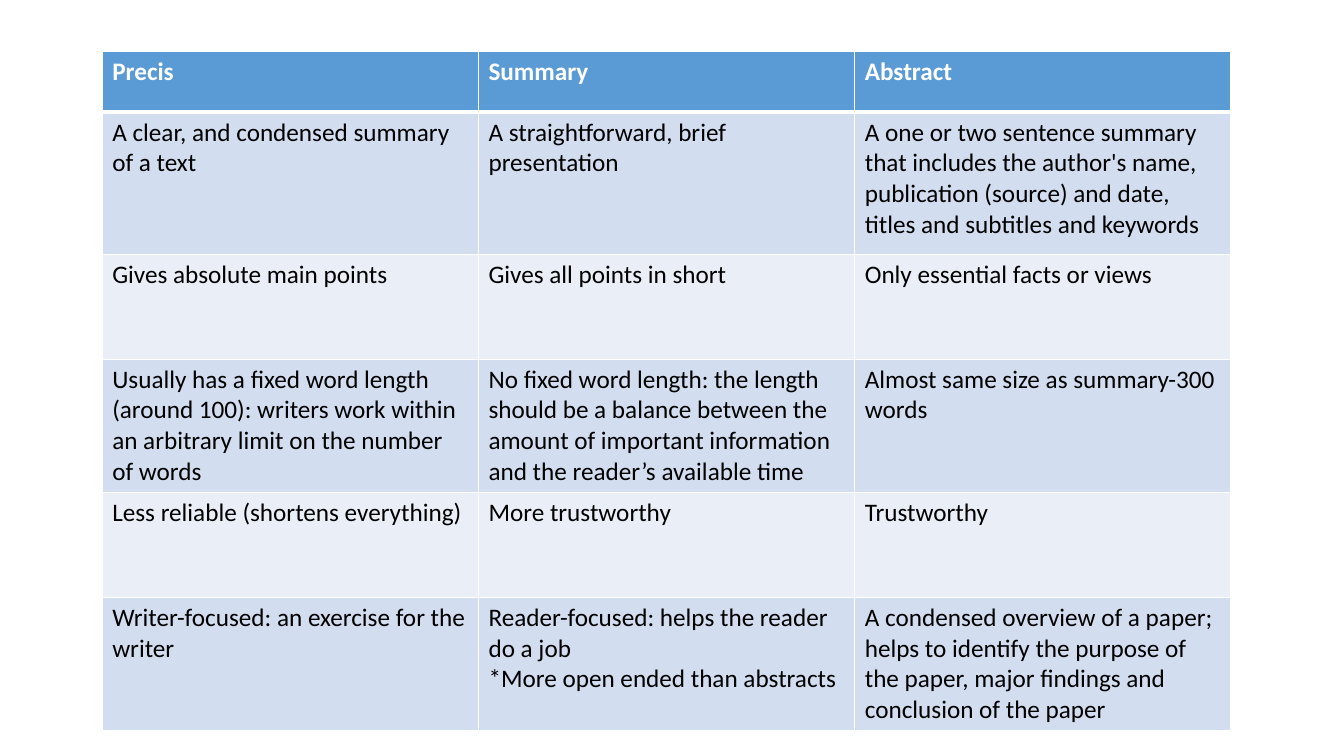
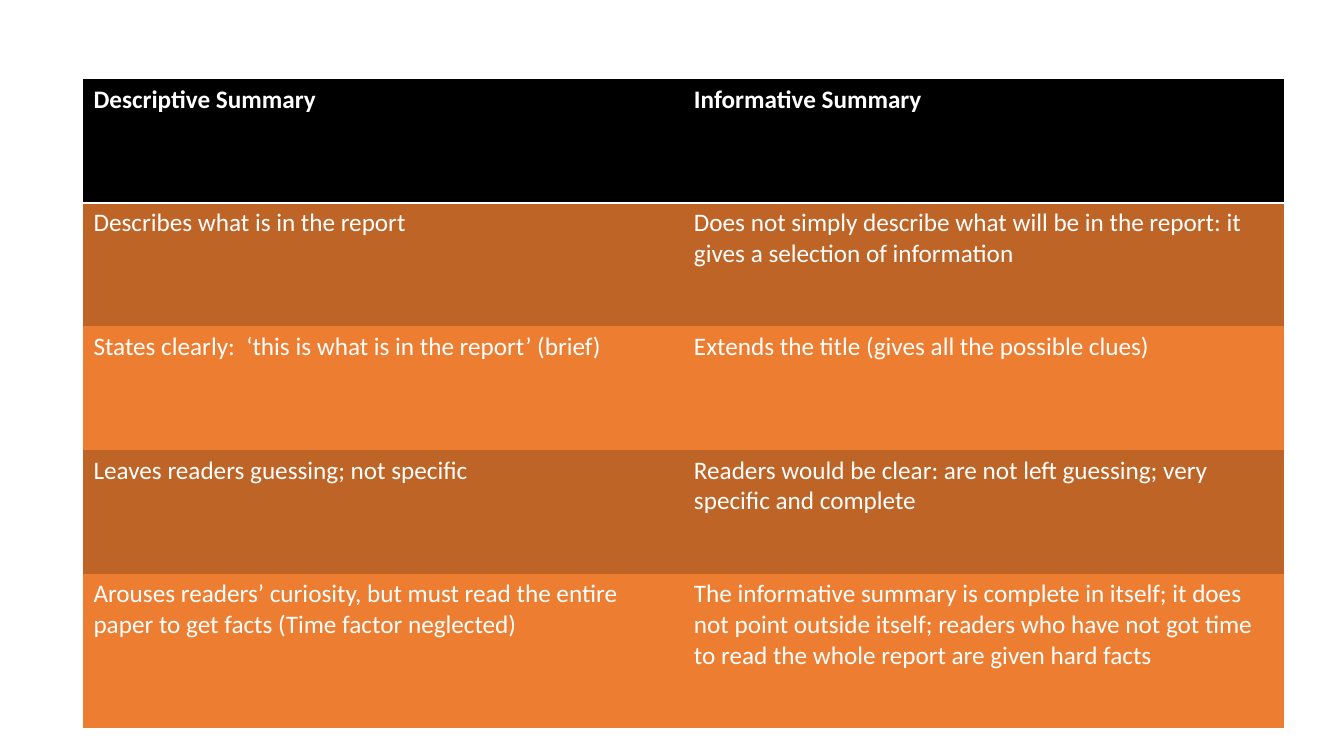
from pptx import Presentation
from pptx.dml.color import RGBColor
from pptx.oxml.ns import qn
from pptx.util import Pt
from lxml.etree import SubElement

COLORS = {
    "white": "FFFFFF", "black": "000000",
    "blue": "5B9BD5", "light_blue": "D2DEEF", "pale_blue": "EAEFF7",
    "orange": "ED7D31", "dark_orange": "BE6427",
}
FONT, SIZE = "Calibri", 18
NO_STYLE = "{2D5ABB26-0587-4C30-8999-92F81FD0307C}"

TABLES = [
    {
        "left": 73, "top": 36.9, "width": 806.4,
        "heights": [43.2, 101.5, 75, 92.1, 75, 92.1],
        "header": "blue", "bands": ("light_blue", "pale_blue"), "text": "black",
        "grid": 1, "header_rule": 3,
        "rows": [
            ("Precis", "Summary ", "Abstract"),
            ("A clear, and condensed summary of a text",
             "A straightforward, brief presentation",
             "A one or two sentence summary that includes the author's name, "
             "publication (source) and date, titles and subtitles and keywords"),
            ("Gives absolute main points", "Gives all points in short",
             "Only essential facts or views"),
            ("Usually has a fixed word length (around 100): writers work within "
             "an arbitrary limit on the number of words",
             "No fixed word length: the length should be a balance between the "
             "amount of important information and the reader’s available time",
             "Almost same size as summary-300 words"),
            ("Less reliable (shortens everything)", "More trustworthy", "Trustworthy"),
            ("Writer-focused: an exercise for the writer",
             "Reader-focused: helps the reader do a job\n*More open ended than abstracts",
             "A condensed overview of a paper; helps to identify the purpose of "
             "the paper, major findings and conclusion of the paper"),
        ],
    },
    {
        "left": 59.6, "top": 56.7, "width": 857.8,
        "heights": [88.25, 88.25, 88.25, 88.25, 110],
        "header": "black", "bands": ("dark_orange", "orange"), "text": "white",
        "grid": 0, "header_rule": 2,
        "rows": [
            ("Descriptive Summary", "Informative Summary"),
            ("Describes what is in the report",
             "Does not simply describe what will be in the report: it gives a "
             "selection of information"),
            ("States clearly:  ‘this is what is in the report’ (brief)",
             "Extends the title (gives all the possible clues)"),
            ("Leaves readers guessing; not specific",
             "Readers would be clear: are not left guessing; very specific and complete"),
            ("Arouses readers’ curiosity, but must read the entire paper to get "
             "facts (Time factor neglected)",
             "The informative summary is complete in itself; it does not point "
             "outside itself; readers who have not got time to read the whole "
             "report are given hard facts"),
        ],
    },
]


def rgb(name):
    return RGBColor.from_string(COLORS[name])


def set_border(cell, side, width):
    ln = SubElement(cell._tc.get_or_add_tcPr(), qn("a:ln" + side), w=str(Pt(width)))
    if width:
        fill = SubElement(ln, qn("a:solidFill"))
        SubElement(fill, qn("a:srgbClr"), val=COLORS["white"])
    else:
        SubElement(ln, qn("a:noFill"))


def fill_cell(cell, text, row, spec):
    is_header = row == 0
    widths = dict.fromkeys("LRTB", spec["grid"])
    if row < 2:
        widths["B" if is_header else "T"] = spec["header_rule"]
    for side, width in widths.items():
        set_border(cell, side, width)
    cell.fill.solid()
    cell.fill.fore_color.rgb = rgb(spec["header"] if is_header else spec["bands"][(row - 1) % 2])
    cell.text_frame.text = text
    for p in cell.text_frame.paragraphs:
        for r in p.runs:
            r.font.name, r.font.size, r.font.bold = FONT, Pt(SIZE), is_header
            r.font.color.rgb = rgb("white" if is_header else spec["text"])


def add_comparison(prs, spec):
    s = prs.slides.add_slide(prs.slide_layouts[6])
    rows, heights = spec["rows"], spec["heights"]
    n_cols = len(rows[0])
    frame = s.shapes.add_table(len(rows), n_cols, Pt(spec["left"]), Pt(spec["top"]),
                               Pt(spec["width"]), Pt(sum(heights)))
    table = frame.table
    table._tbl.tblPr.find(qn("a:tableStyleId")).text = NO_STYLE
    for col in table.columns:
        col.width = Pt(spec["width"] / n_cols)
    for i, (texts, height) in enumerate(zip(rows, heights)):
        table.rows[i].height = Pt(height)
        for j, text in enumerate(texts):
            fill_cell(table.cell(i, j), text, i, spec)


prs = Presentation()
prs.slide_width, prs.slide_height = Pt(960), Pt(540)
for table_spec in TABLES:
    add_comparison(prs, table_spec)
prs.save("out.pptx")
